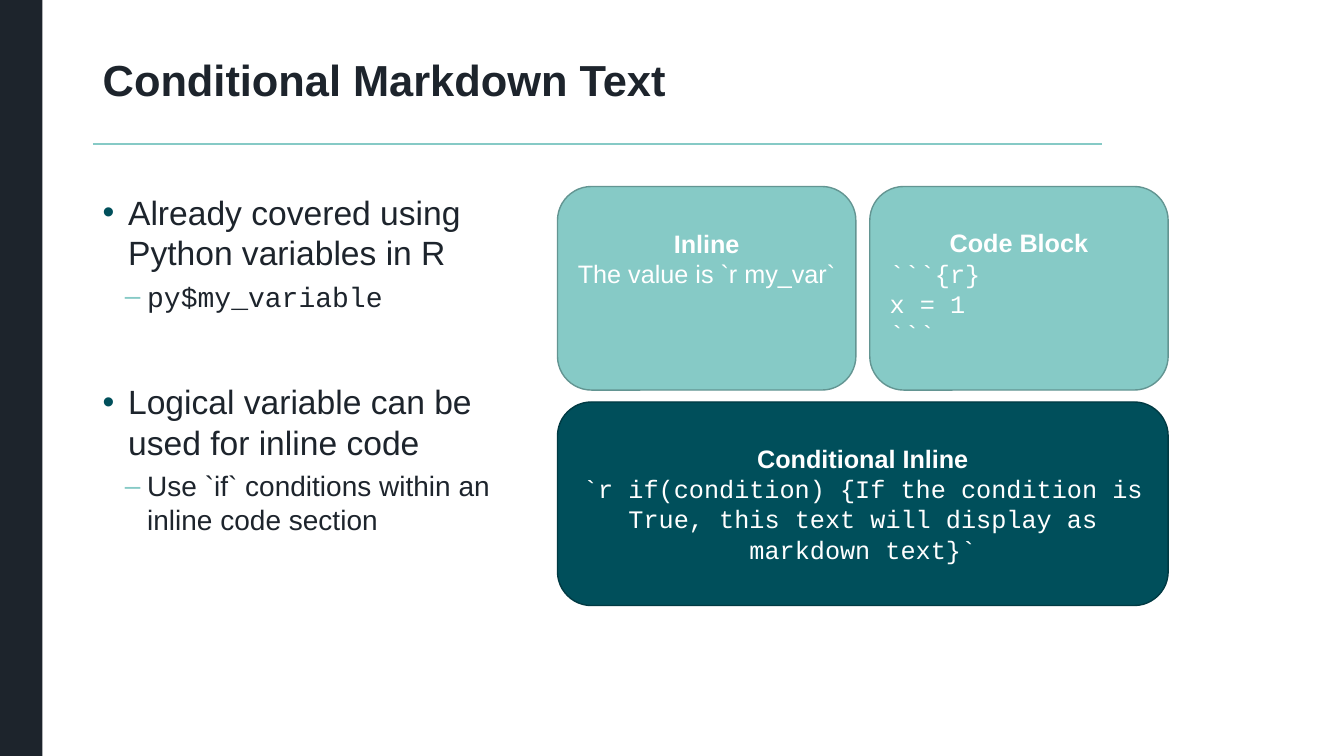
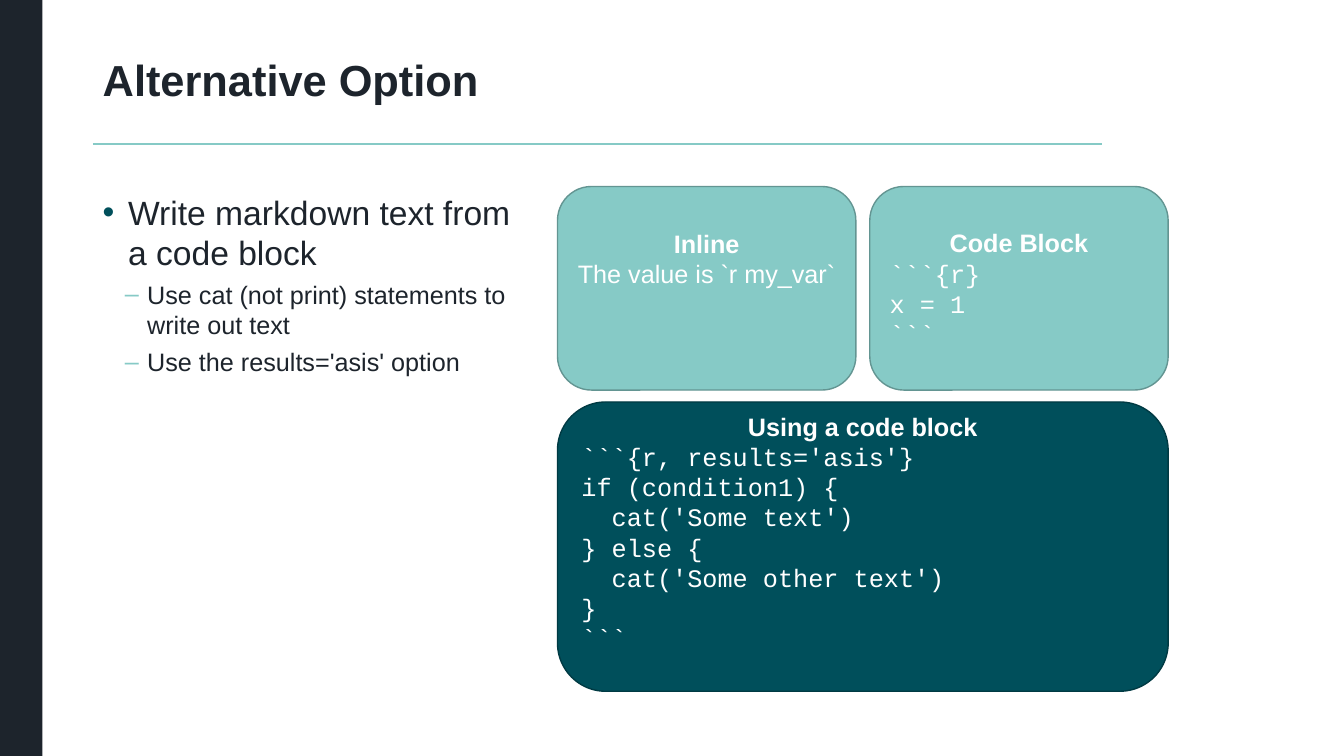
from pptx import Presentation
from pptx.dml.color import RGBColor
from pptx.enum.shapes import MSO_CONNECTOR, MSO_SHAPE
from pptx.enum.text import MSO_ANCHOR, PP_ALIGN
from pptx.oxml.ns import qn
from pptx.util import Cm, Pt
from lxml.etree import SubElement

INK = RGBColor(0x1D, 0x24, 0x2C)
MINT = RGBColor(0x86, 0xCA, 0xC6)
MINT_EDGE = RGBColor(0x63, 0x95, 0x92)
TEAL = RGBColor(0x00, 0x4F, 0x5B)
TEAL_EDGE = RGBColor(0x00, 0x3A, 0x43)
WHITE = RGBColor(0xFF, 0xFF, 0xFF)

SANS, MONO = "Arial", "Courier New"

# Layout, in centimetres
SLIDE_W, SLIDE_H = 33.87, 19.05
LEFT, TOP = 2.34, 4.7
CARD_X, CARD_W, CARD_H = 14.05, 7.52, 5.13
GAP_X, GAP_Y = 0.35, 0.3
LINE_H = 0.74

# Bullet level: character, colour, left margin, hanging indent, space before
LEVELS = [("•", TEAL, 0.64, 0.64, 16), ("–", MINT, 1.12, 0.56, 5)]


def write(tf, text, first=False, size=18, font=SANS, color=WHITE, bold=False,
          align=PP_ALIGN.LEFT, before=0, spacing=None):
    """Add one formatted paragraph to a text frame."""
    p = tf.paragraphs[0] if first else tf.add_paragraph()
    p.alignment = align
    p.space_before = Pt(before)
    if spacing:
        p.line_spacing = spacing
    r = p.add_run()
    r.text = text
    r.font.size, r.font.name, r.font.bold = Pt(size), font, bold
    r.font.color.rgb = color
    return p


class Deck:
    def __init__(self):
        self.prs = Presentation()
        self.prs.slide_width, self.prs.slide_height = Cm(SLIDE_W), Cm(SLIDE_H)
        self.s = None

    def slide(self, title):
        """Start a slide with the side band, the title and its rule."""
        self.s = self.prs.slides.add_slide(self.prs.slide_layouts[6])
        self.shape(MSO_SHAPE.RECTANGLE, 0, 0, 1.07, SLIDE_H, INK)
        self.rule(LEFT, 3.63, 27.76)
        tf = self.text_box(LEFT, 1.35, 25.07, 1.47, MSO_ANCHOR.MIDDLE)
        write(tf, title, first=True, size=31, color=INK, bold=True, spacing=0.9)

    def shape(self, kind, x, y, w, h, fill, edge=None):
        sp = self.s.shapes.add_shape(kind, Cm(x), Cm(y), Cm(w), Cm(h))
        sp.shadow.inherit = False
        sp.fill.solid()
        sp.fill.fore_color.rgb = fill
        if edge is None:
            sp.line.fill.background()
        else:
            sp.line.color.rgb = edge
            sp.line.width = Pt(1)
        return sp

    def rule(self, x1, y, x2):
        line = self.s.shapes.add_connector(
            MSO_CONNECTOR.STRAIGHT, Cm(x1), Cm(y), Cm(x2), Cm(y))
        line.line.color.rgb = MINT
        line.line.width = Pt(1)
        SubElement(line._element.spPr, qn("a:effectLst"))

    def text_box(self, x, y, w, h, anchor=MSO_ANCHOR.TOP):
        tf = self.s.shapes.add_textbox(Cm(x), Cm(y), Cm(w), Cm(h)).text_frame
        tf.word_wrap = True
        tf.vertical_anchor = anchor
        return tf

    def bullets(self, items):
        """Add the left column from (level, text, format) items."""
        tf = self.text_box(LEFT, TOP, 11.33, 12.45)
        for i, (level, text, fmt) in enumerate(items):
            char, color, margin, hang, before = LEVELS[level]
            p = write(tf, text, first=i == 0,
                      **{"color": INK, "before": before, **fmt})
            p.level = level
            pPr = p._p.get_or_add_pPr()
            pPr.set("marL", str(Cm(margin)))
            pPr.set("indent", str(-Cm(hang)))
            clr = SubElement(pPr, qn("a:buClr"))
            SubElement(clr, qn("a:srgbClr"), val=str(color))
            SubElement(pPr, qn("a:buFont"), typeface=SANS)
            SubElement(pPr, qn("a:buChar"), char=char)

    def card(self, col, row, heading, lines, span=1, height=CARD_H, fill=MINT,
             edge=MINT_EDGE, font=MONO, align=PP_ALIGN.LEFT, spare_lines=0):
        """Add a rounded card; spare_lines keeps room free below its text."""
        x = CARD_X + col * (CARD_W + GAP_X)
        y = TOP + row * (CARD_H + GAP_Y)
        w = span * CARD_W + (span - 1) * GAP_X
        sp = self.shape(MSO_SHAPE.ROUNDED_RECTANGLE, x, y, w, height, fill, edge)
        tf = sp.text_frame
        tf.word_wrap = True
        tf.vertical_anchor = MSO_ANCHOR.MIDDLE
        tf.margin_bottom = Cm(0.13 + spare_lines * LINE_H)
        write(tf, heading, first=True, bold=True, align=PP_ALIGN.CENTER)
        for line in lines:
            write(tf, line, font=font, align=align)

    def syntax_cards(self):
        """Add the two upper cards with the basic syntax."""
        self.card(0, 0, "Inline", ["The value is `r my_var`"], font=SANS,
                  align=PP_ALIGN.CENTER, spare_lines=2)
        self.card(1, 0, "Code Block", ["```{r}", "x = 1", "```"])

    def wide_card(self, heading, lines, **fmt):
        self.card(0, 1, heading, lines, span=2, fill=TEAL, edge=TEAL_EDGE, **fmt)


def main():
    deck = Deck()

    # Conditional text inline
    deck.slide("Conditional Markdown Text")
    deck.bullets([
        (0, "Already covered using Python variables in R", {"size": 24}),
        (1, "py$my_variable", {"size": 20, "font": MONO}),
        (0, "Logical variable can be used for inline code",
         {"size": 24, "before": 49}),
        (1, "Use `if` conditions within an inline code section", {"size": 20}),
    ])
    deck.syntax_cards()
    deck.wide_card("Conditional Inline", [
        "`r if(condition) {If the condition is True, "
        "this text will display as markdown text}`",
    ], align=PP_ALIGN.CENTER)

    # Conditional text from a code block
    deck.slide("Alternative Option")
    deck.bullets([
        (0, "Write markdown text from a code block", {"size": 24}),
        (1, "Use cat (not print) statements to write out text", {}),
        (1, "Use the results='asis' option", {}),
    ])
    deck.syntax_cards()
    deck.wide_card("Using a code block", [
        "```{r, results='asis'}",
        "if (condition1) {",
        "  cat('Some text')",
        "} else {",
        "  cat('Some other text')",
        "}",
        "```",
    ], height=7.29, spare_lines=1)

    deck.prs.save("out.pptx")


if __name__ == "__main__":
    main()
